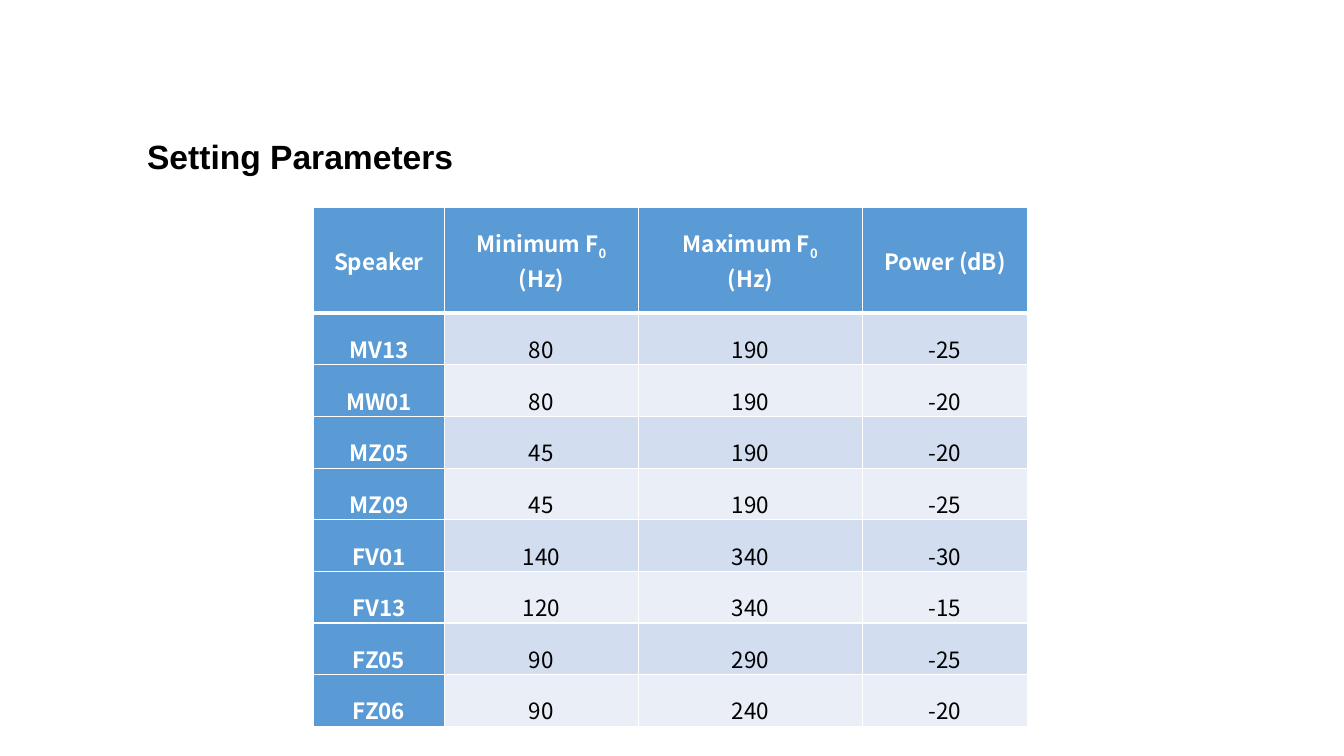
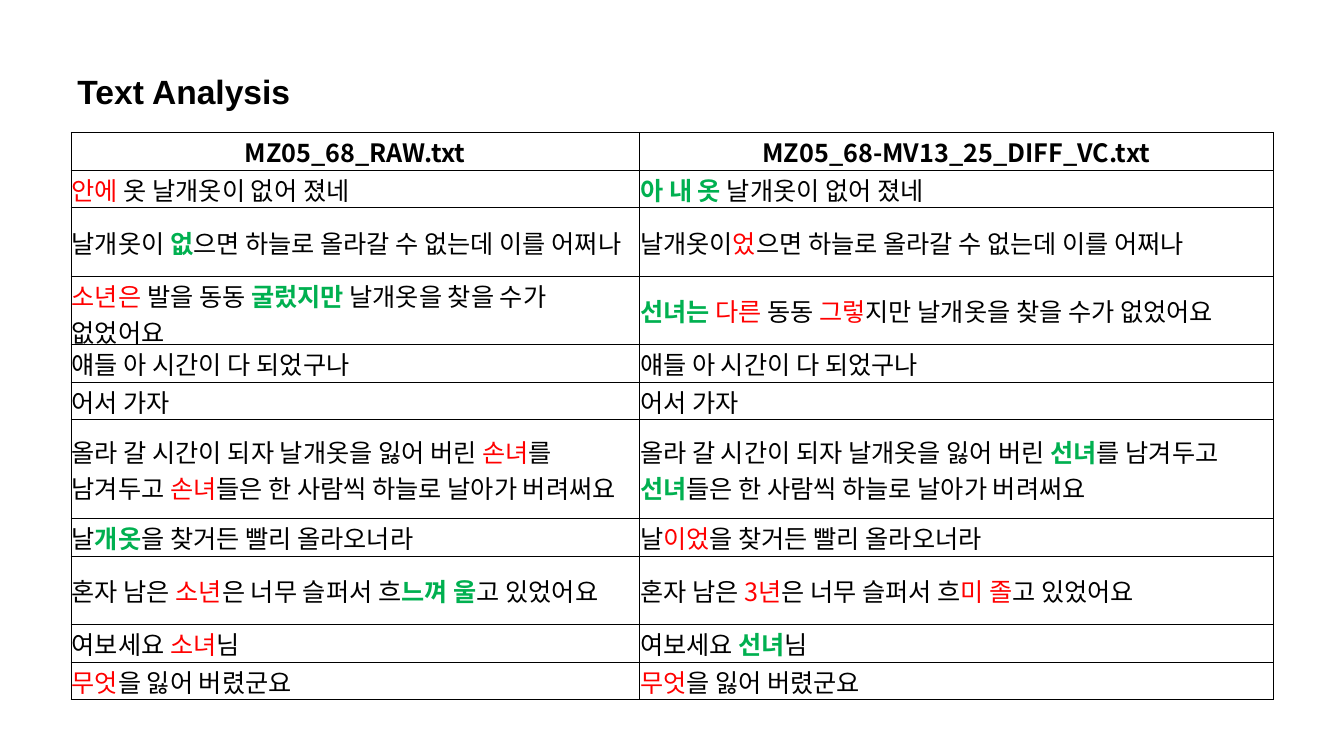
from lxml.etree import SubElement
from pptx import Presentation
from pptx.dml.color import RGBColor as RGB
from pptx.enum.text import MSO_ANCHOR as ANCHOR, PP_ALIGN as ALIGN
from pptx.oxml.ns import qn
from pptx.util import Pt

COLORS = {
    "black": "000000", "white": "FFFFFF", "blue": "5B9BD5",
    "band_dark": "D2DEEF", "band_light": "EAEFF7",
    "wrong": "FF0000", "right": "00B050",
}
TITLE_FONT, TABLE_FONT = "Arial", "Noto Sans CJK KR"

# Inline marks: [misrecognised], {corrected}, <subscript>
MARKS = {
    "[": {"color": "wrong", "bold": False},
    "{": {"color": "right", "bold": True},
    "<": {"baseline": -25000},
}

PARAMETERS = [
    ["Speaker", "Minimum F<0>\n(Hz)", "Maximum F<0>\n(Hz)", "Power (dB)"],
    ["MV13", "80", "190", "-25"],
    ["MW01", "80", "190", "-20"],
    ["MZ05", "45", "190", "-20"],
    ["MZ09", "45", "190", "-25"],
    ["FV01", "140", "340", "-30"],
    ["FV13", "120", "340", "-15"],
    ["FZ05", "90", "290", "-25"],
    ["FZ06", "90", "240", "-20"],
]

TRANSCRIPTS = [
    ["MZ05_68_RAW.txt", "MZ05_68-MV13_25_DIFF_VC.txt"],
    ["[안에] 옷 날개옷이 없어 졌네", "{아 내 옷 }날개옷이 없어 졌네"],
    ["날개옷이 {없}으면 하늘로 올라갈 수 없는데 이를 어쩌나",
     "날개옷이[었]으면 하늘로 올라갈 수 없는데 이를 어쩌나"],
    ["[소년은] 발을 동동 {굴렀지만 }날개옷을 찾을 수가 없었어요",
     "{선녀는 }[다른] 동동 [그렇]지만 날개옷을 찾을 수가 없었어요"],
    ["얘들 아 시간이 다 되었구나"] * 2,
    ["어서 가자"] * 2,
    ["올라 갈 시간이 되자 날개옷을 잃어 버린 [손녀]를 남겨두고 "
     "[손녀]들은 한 사람씩 하늘로 날아가 버려써요",
     "올라 갈 시간이 되자 날개옷을 잃어 버린 {선녀}를 남겨두고 "
     "{선녀}들은 한 사람씩 하늘로 날아가 버려써요"],
    ["날{개옷}을 찾거든 빨리 올라오너라", "날[이었]을 찾거든 빨리 올라오너라"],
    ["혼자 남은 [소년]은 너무 슬퍼서 흐{느껴 울}고 있었어요",
     "혼자 남은 [3년]은 너무 슬퍼서 흐[미 졸]고 있었어요"],
    ["여보세요 [소녀]님", "여보세요 {선녀}님"],
    ["[무엇]을 잃어 버렸군요"] * 2,
]


def split_marks(text):
    """Yield (piece, format changes) for text with inline marks."""
    for mark in MARKS:
        text = text.replace(mark, "|" + mark)
    for closer in "]}>":
        text = text.replace(closer, "|")
    for piece in filter(None, text.split("|")):
        changes = MARKS.get(piece[0], {})
        yield (piece[1:] if changes else piece), changes


def parameter_style(row, col):
    head = row == 0 or col == 0
    band = "band_dark" if row % 2 else "band_light"
    return {
        "size": 16, "bold": head, "color": "white" if head else "black",
        "fill": "blue" if head else band, "align": ALIGN.CENTER,
        "spacing": 1.6 if row else None, "margins": (5, 0, 5, 0),
        "line": "white",
        "widths": (1, 1, 3 if row == 1 else 1, 1 if row else 3),
    }


def transcript_style(row, col):
    return {
        "size": 18, "bold": row == 0, "color": "black", "fill": None,
        "align": ALIGN.LEFT if row else ALIGN.CENTER, "spacing": None,
        "margins": (0.7, 0.7, 0.7, 0), "line": "black", "widths": (0.5,) * 4,
    }


class Deck:
    def __init__(self):
        self.prs = Presentation()
        self.prs.slide_width, self.prs.slide_height = Pt(960), Pt(540)
        self.s = None

    def new_slide(self):
        self.s = self.prs.slides.add_slide(self.prs.slide_layouts[6])

    def run(self, p, text, font, size, bold, color, baseline=None):
        r = p.add_run()
        r.text = text
        formats = {"name": font, "size": Pt(size), "bold": bold}
        for name, value in formats.items():
            setattr(r.font, name, value)
        r.font.color.rgb = RGB.from_string(COLORS[color])
        rPr = r._r.get_or_add_rPr()
        SubElement(rPr, qn("a:ea"), typeface=font)
        if baseline:
            rPr.set("baseline", str(baseline))

    def title(self, text, left, top, width):
        tf = self.s.shapes.add_textbox(Pt(left), Pt(top), Pt(width), Pt(36)).text_frame
        tf.word_wrap = True
        self.run(tf.paragraphs[0], text, TITLE_FONT, 24, True, "black")

    def borders(self, cell, color, widths):
        """Draw the left, right, top and bottom borders, in that order."""
        tcPr = cell._tc.get_or_add_tcPr()
        for side, width in zip("LRTB", widths):
            ln = SubElement(tcPr, qn("a:ln" + side), w=str(Pt(width)))
            fill = SubElement(ln, qn("a:solidFill"))
            SubElement(fill, qn("a:srgbClr"), val=COLORS[color])

    def cell(self, cell, text, style):
        for side, margin in zip(("left", "top", "right", "bottom"), style["margins"]):
            setattr(cell, "margin_" + side, Pt(margin))
        cell.vertical_anchor = ANCHOR.MIDDLE
        self.borders(cell, style["line"], style["widths"])
        if style["fill"]:
            cell.fill.solid()
            cell.fill.fore_color.rgb = RGB.from_string(COLORS[style["fill"]])
        else:
            cell.fill.background()
        tf = cell.text_frame
        base = {key: style[key] for key in ("size", "bold", "color")}
        for i, line in enumerate(text.split("\n")):
            p = tf.add_paragraph() if i else tf.paragraphs[0]
            p.alignment, p.line_spacing = style["align"], style["spacing"]
            for piece, changes in split_marks(line):
                self.run(p, piece, TABLE_FONT, **{**base, **changes})

    def table(self, rows, left, top, widths, heights, style_of):
        table = self.s.shapes.add_table(
            len(rows), len(widths), Pt(left), Pt(top),
            Pt(sum(widths)), Pt(sum(heights))).table
        table.first_row = table.horz_banding = False
        for column, width in zip(table.columns, widths):
            column.width = Pt(width)
        for i, (row, height) in enumerate(zip(rows, heights)):
            table.rows[i].height = Pt(height)
            for j, text in enumerate(row):
                self.cell(table.cell(i, j), text, style_of(i, j))


def main():
    deck = Deck()

    deck.new_slide()
    deck.table(PARAMETERS, 224, 148.4, (93.4, 138.6, 160, 118),
               [75.4] + [36] * 8, parameter_style)
    deck.title("Setting Parameters", 98, 93.6, 695.5)

    deck.new_slide()
    single, double, tall = 26.95, 48.75, 70.6
    deck.table(TRANSCRIPTS, 50.6, 94.5, (406, 453),
               [single, single, double, double, single, single,
                tall, single, double, single, single], transcript_style)
    deck.title("Text Analysis", 48.2, 46.8, 711.4)

    deck.prs.save("out.pptx")


if __name__ == "__main__":
    main()
